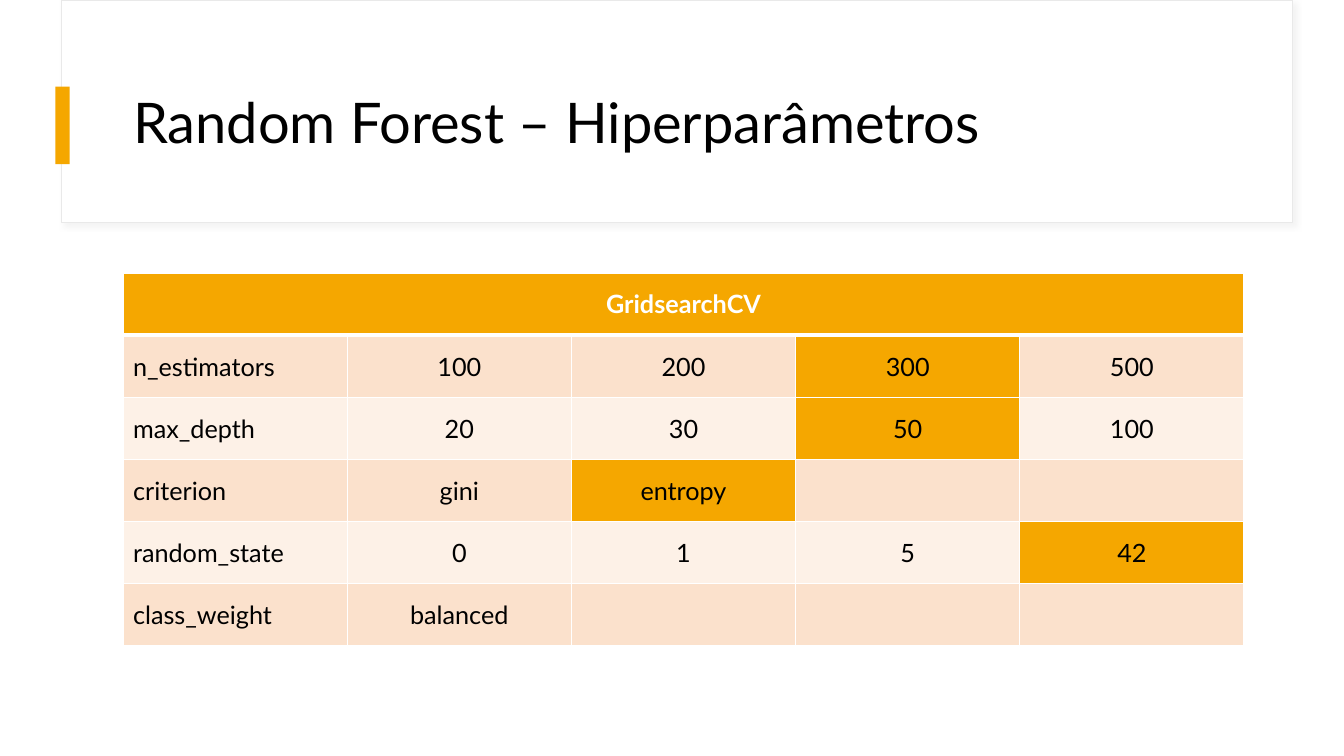
import dataclasses

import lxml.etree
import pptx
import pptx.dml.color
import pptx.enum.shapes
import pptx.enum.text
import pptx.oxml
import pptx.oxml.ns
import pptx.util

PX = 9144
ANCHOR = pptx.enum.text.MSO_ANCHOR
ALIGN = pptx.enum.text.PP_ALIGN
RECT = pptx.enum.shapes.MSO_SHAPE.RECTANGLE


@dataclasses.dataclass(frozen=True)
class Theme:
    """Colours, font and type sizes of the deck."""
    font: str = "Lato"
    title_size: int = 40
    table_size: int = 18
    text: str = "000000"
    paper: str = "FFFFFF"
    frame: str = "E9E9E9"
    shadow: str = "D9D9D9"
    accent: str = "F5A700"
    bands: tuple = ("FBE1CC", "FDF1E7")


THEME = Theme()
TITLE = "Random Forest – Hiperparâmetros"
GRID_TITLE = "GridsearchCV"
GRID = [
    ("n_estimators", ["100", "200", "300", "500"], "300"),
    ("max_depth", ["20", "30", "50", "100"], "50"),
    ("criterion", ["gini", "entropy"], "entropy"),
    ("random_state", ["0", "1", "5", "42"], "42"),
    ("class_weight", ["balanced"], None),
]


def rgb(value):
    """Turn a hex string into a colour."""
    return pptx.dml.color.RGBColor.from_string(value)


def px(*lengths):
    """Turn pixel lengths into EMU."""
    return [pptx.util.Emu(n * PX) for n in lengths]


def add_run(p, text, size, color, bold=False):
    """Add one formatted run to a paragraph."""
    r = p.add_run()
    r.text = text
    r.font.name = THEME.font
    r.font.size = pptx.util.Pt(size)
    r.font.bold = bold
    r.font.color.rgb = rgb(color)


def add_rect(s, box, fill, line=None):
    """Add a flat rectangle with an optional thin outline."""
    sp = s.shapes.add_shape(RECT, *px(*box))
    sp.shadow.inherit = False
    sp.fill.solid()
    sp.fill.fore_color.rgb = rgb(fill)
    if line:
        sp.line.color.rgb = rgb(line)
        sp.line.width = pptx.util.Pt(0.75)
    else:
        sp.line.fill.background()
    return sp


def add_soft_shadow(sp):
    """Give a shape a faint shadow toward its lower right."""
    effects = sp.element.spPr.find(pptx.oxml.ns.qn("a:effectLst"))
    effects.append(pptx.oxml.parse_xml(
        f'<a:outerShdw {pptx.oxml.ns.nsdecls("a")} blurRad="50800" dist="38100" '
        f'dir="2700000" algn="tl" rotWithShape="0"><a:srgbClr val="{THEME.shadow}">'
        '<a:alpha val="30000"/></a:srgbClr></a:outerShdw>'))


def add_header(s, box, text):
    """Place the framed title with its accent bar in the box."""
    x, y, w, h = box
    add_soft_shadow(add_rect(s, box, THEME.paper, THEME.frame))
    add_rect(s, (x - 6, y + 86, 14, 77), THEME.accent)
    title = s.shapes.title
    s.shapes.element.append(title.element)
    title.left, title.top, title.width, title.height = px(x + 61, y + 60, w - 109, h - 92)
    tf = title.text_frame
    tf.word_wrap = True
    tf.auto_size = pptx.enum.text.MSO_AUTO_SIZE.NONE
    tf.vertical_anchor = ANCHOR.MIDDLE
    p = tf.paragraphs[0]
    p.alignment = ALIGN.LEFT
    p.line_spacing = 0.9
    add_run(p, text, THEME.title_size, THEME.text)


def set_borders(cell, bottom=1, top=1):
    """Draw paper-coloured borders round a cell, widths in points."""
    tcPr = cell._tc.get_or_add_tcPr()
    widths = {"lnL": 1, "lnR": 1, "lnT": top, "lnB": bottom}
    for i, (side, width) in enumerate(widths.items()):
        ln = lxml.etree.Element(pptx.oxml.ns.qn(f"a:{side}"), w=str(pptx.util.Pt(width)))
        fill = lxml.etree.SubElement(ln, pptx.oxml.ns.qn("a:solidFill"))
        lxml.etree.SubElement(fill, pptx.oxml.ns.qn("a:srgbClr"), val=THEME.paper)
        tcPr.insert(i, ln)


def fill_cell(cell, text, fill, align, color=THEME.text, bold=False):
    """Fill a table cell and write its text."""
    cell.fill.solid()
    cell.fill.fore_color.rgb = rgb(fill)
    cell.vertical_anchor = ANCHOR.MIDDLE
    p = cell.text_frame.paragraphs[0]
    p.alignment = align
    if text:
        add_run(p, text, THEME.table_size, color, bold)


def add_grid(s, box, heading, rows):
    """Place the parameter table, with chosen values highlighted, in the box."""
    x, y, w, h = box
    n_cols = 1 + max(len(values) for _, values, _ in rows)
    n_rows = 1 + len(rows)
    table = s.shapes.add_table(n_rows, n_cols, *px(*box)).table
    for col in table.columns:
        col.width = pptx.util.Emu(w * PX // n_cols)
    for row in table.rows:
        row.height = pptx.util.Emu(h * PX // n_rows)
    table.cell(0, 0).merge(table.cell(0, n_cols - 1))
    fill_cell(table.cell(0, 0), heading, THEME.accent, ALIGN.CENTER, THEME.paper, True)
    for c in range(n_cols):
        set_borders(table.cell(0, c), bottom=3)
    for r, (name, values, best) in enumerate(rows, 1):
        band = THEME.bands[(r - 1) % 2]
        texts = [name] + values + [""] * (n_cols - 1 - len(values))
        for c, text in enumerate(texts):
            cell = table.cell(r, c)
            fill = THEME.accent if text and text == best else band
            fill_cell(cell, text, fill, ALIGN.CENTER if c else ALIGN.LEFT)
            set_borders(cell, top=3 if r == 1 else 1)


def main():
    """Build the slide and save it."""
    prs = pptx.Presentation()
    prs.slide_width, prs.slide_height = px(1333, 750)
    s = prs.slides.add_slide(prs.slide_layouts.get_by_name("Title Only"))
    add_header(s, (61, 0, 1221, 221), TITLE)
    add_grid(s, (122, 271, 1112, 370), GRID_TITLE, GRID)
    prs.save("out.pptx")


if __name__ == "__main__":
    main()
